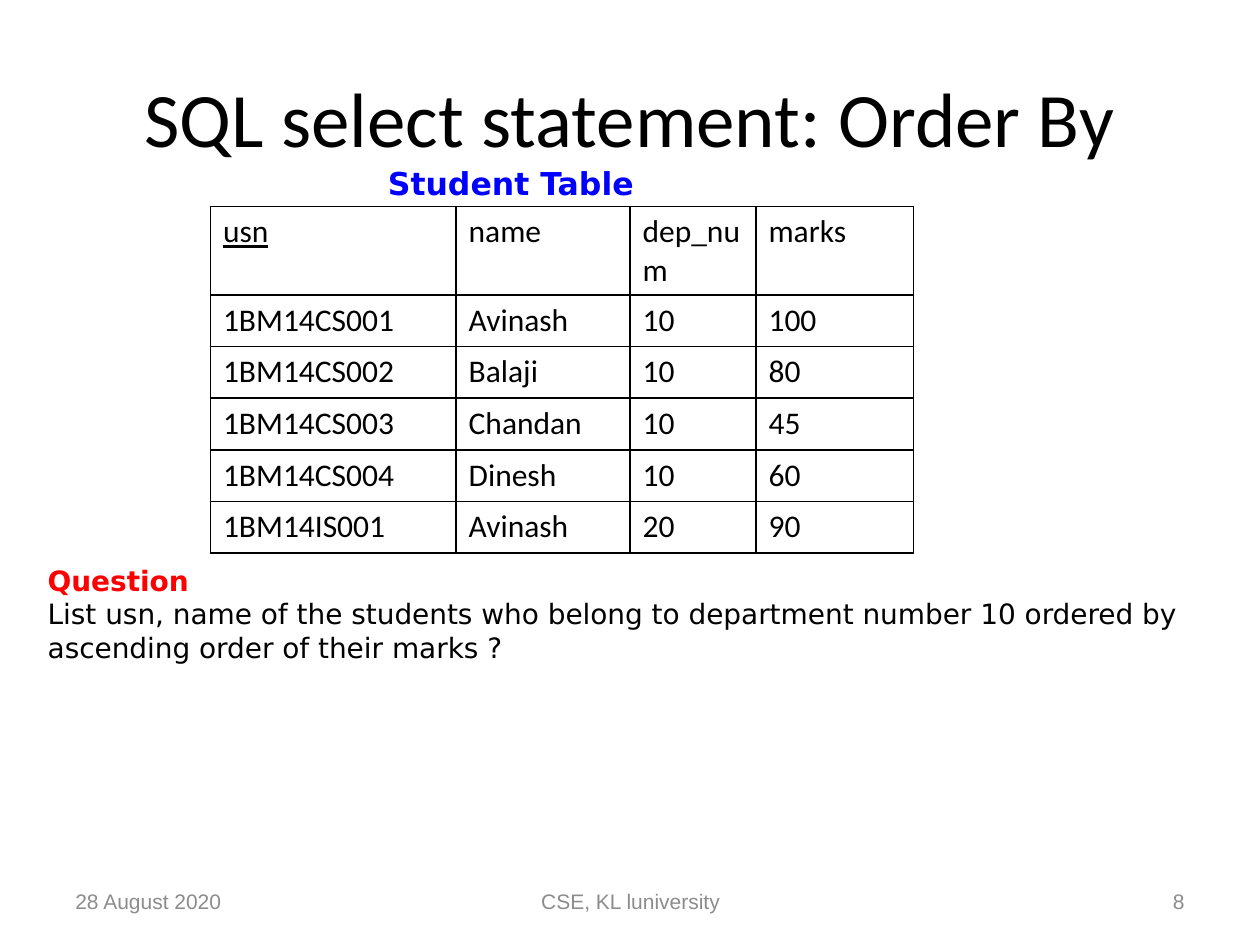
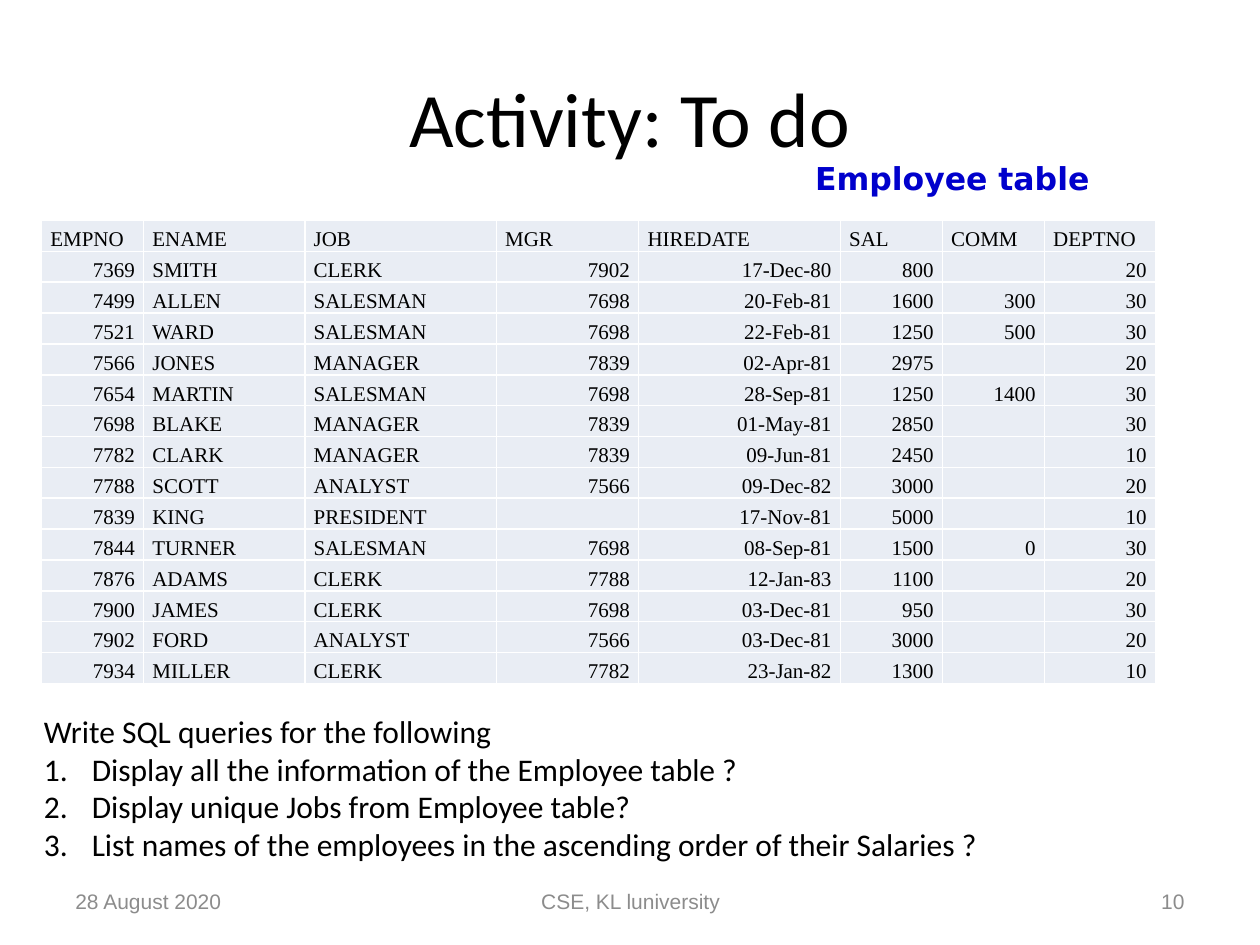
from dataclasses import dataclass
from typing import Optional

from lxml.etree import SubElement
from pptx import Presentation
from pptx.dml.color import RGBColor
from pptx.enum.text import MSO_ANCHOR, MSO_AUTO_SIZE, PP_ALIGN
from pptx.oxml.ns import qn
from pptx.util import Inches, Pt

# Slide grid: 40 columns by 30 rows
WIDTH, HEIGHT = Inches(10), Inches(7.5)
COLUMN, ROW = WIDTH / 40, HEIGHT / 30

COLORS = {
    "text": "000000",
    "footer": "8C8C8C",
    "student": "0000FF",
    "employee": "0000CC",
    "question": "FF0000",
    "cell": "E9EDF4",
    "white": "FFFFFF",
}
BODY, CAPTION, FOOTER, DATA = "Calibri", "DejaVu Sans", "Arial", "Times New Roman"
LEFT, CENTER, RIGHT = PP_ALIGN.LEFT, PP_ALIGN.CENTER, PP_ALIGN.RIGHT


@dataclass(frozen=True)
class Area:
    """A place on the slide, in grid columns and rows."""
    left: float
    top: float
    width: float
    height: float

    def emu(self) -> tuple[int, int, int, int]:
        return (int(self.left * COLUMN), int(self.top * ROW),
                int(self.width * COLUMN), int(self.height * ROW))


@dataclass(frozen=True)
class Line:
    """One paragraph of a text box."""
    text: str
    color: str = "text"
    bold: bool = False
    numbered: bool = False


@dataclass(frozen=True)
class TableStyle:
    font: str
    size: int
    border: str
    fill: Optional[str] = None
    margins: tuple[float, float] = (0.1, 0.05)
    anchor: MSO_ANCHOR = MSO_ANCHOR.TOP
    right_columns: tuple[int, ...] = ()
    underlined_key: bool = False


TITLE_AREA = Area(2, 1.2, 36, 5)
FOOTER_AREAS = (
    (Area(2, 27.8, 9.32, 1.6), LEFT),
    (Area(13.68, 27.8, 12.68, 1.6), CENTER),
    (Area(28.68, 27.8, 9.32, 1.6), RIGHT),
)

STUDENT_STYLE = TableStyle(BODY, 18, "text", underlined_key=True)
EMPLOYEE_STYLE = TableStyle(DATA, 12, "white", fill="cell", margins=(0.07, 0),
                            anchor=MSO_ANCHOR.BOTTOM,
                            right_columns=(0, 3, 4, 5, 6, 7))

STUDENTS = (
    ("usn", "name", "dep_num", "marks"),
    ("1BM14CS001", "Avinash", "10", "100"),
    ("1BM14CS002", "Balaji", "10", "80"),
    ("1BM14CS003", "Chandan", "10", "45"),
    ("1BM14CS004", "Dinesh", "10", "60"),
    ("1BM14IS001", "Avinash", "20", "90"),
)
EMPLOYEES = (
    ("EMPNO", "ENAME", "JOB", "MGR", "HIREDATE", "SAL", "COMM", "DEPTNO"),
    ("7369", "SMITH", "CLERK", "7902", "17-Dec-80", "800", "", "20"),
    ("7499", "ALLEN", "SALESMAN", "7698", "20-Feb-81", "1600", "300", "30"),
    ("7521", "WARD", "SALESMAN", "7698", "22-Feb-81", "1250", "500", "30"),
    ("7566", "JONES", "MANAGER", "7839", "02-Apr-81", "2975", "", "20"),
    ("7654", "MARTIN", "SALESMAN", "7698", "28-Sep-81", "1250", "1400", "30"),
    ("7698", "BLAKE", "MANAGER", "7839", "01-May-81", "2850", "", "30"),
    ("7782", "CLARK", "MANAGER", "7839", "09-Jun-81", "2450", "", "10"),
    ("7788", "SCOTT", "ANALYST", "7566", "09-Dec-82", "3000", "", "20"),
    ("7839", "KING", "PRESIDENT", "", "17-Nov-81", "5000", "", "10"),
    ("7844", "TURNER", "SALESMAN", "7698", "08-Sep-81", "1500", "0", "30"),
    ("7876", "ADAMS", "CLERK", "7788", "12-Jan-83", "1100", "", "20"),
    ("7900", "JAMES", "CLERK", "7698", "03-Dec-81", "950", "", "30"),
    ("7902", "FORD", "ANALYST", "7566", "03-Dec-81", "3000", "", "20"),
    ("7934", "MILLER", "CLERK", "7782", "23-Jan-82", "1300", "", "10"),
)


def write(para, text: str, *, font: str, size: int, color: str = "text",
          bold: bool = False, underline: bool = False, align=LEFT) -> None:
    """Put one formatted span in a paragraph."""
    para.alignment = align
    if not text:
        # An empty cell still needs its text size to keep the row low
        SubElement(para._p, qn("a:endParaRPr"), sz=str(size * 100))
        return
    span = para.add_run()
    span.text = text
    span.font.name, span.font.size = font, Pt(size)
    span.font.bold, span.font.underline = bold, underline
    span.font.color.rgb = RGBColor.from_string(COLORS[color])


def number(para) -> None:
    """Give a paragraph an automatic number and a hanging indent."""
    properties = para._p.get_or_add_pPr()
    indent = Inches(0.38)
    properties.set("marL", str(indent))
    properties.set("indent", str(-indent))
    SubElement(properties, qn("a:buFont"), typeface="+mj-lt")
    SubElement(properties, qn("a:buAutoNum"), type="arabicPeriod")


def add_text(slide, area: Area, *lines: Line, font: str, size: int,
             align=LEFT, fixed: bool = False) -> None:
    """Add a text box: fixed ones wrap and centre, others fit their text."""
    frame = slide.shapes.add_textbox(*area.emu()).text_frame
    frame.word_wrap = fixed
    frame.auto_size = MSO_AUTO_SIZE.NONE if fixed else MSO_AUTO_SIZE.SHAPE_TO_FIT_TEXT
    frame.vertical_anchor = MSO_ANCHOR.MIDDLE if fixed else MSO_ANCHOR.TOP
    for index, line in enumerate(lines):
        para = frame.add_paragraph() if index else frame.paragraphs[0]
        if line.numbered:
            number(para)
        write(para, line.text, font=font, size=size, color=line.color,
              bold=line.bold, align=align)


def style_cell(cell, style: TableStyle) -> None:
    """Set the borders, fill, margins and anchor of a cell."""
    properties = cell._tc.get_or_add_tcPr()
    for side in ("a:lnL", "a:lnR", "a:lnT", "a:lnB"):
        border = SubElement(properties, qn(side), w=str(Pt(1)))
        paint = SubElement(border, qn("a:solidFill"))
        SubElement(paint, qn("a:srgbClr"), val=COLORS[style.border])
    if style.fill:
        cell.fill.solid()
        cell.fill.fore_color.rgb = RGBColor.from_string(COLORS[style.fill])
    else:
        cell.fill.background()
    across, down = map(Inches, style.margins)
    cell.margin_left = cell.margin_right = across
    cell.margin_top = cell.margin_bottom = down
    cell.vertical_anchor = style.anchor


def add_data_table(slide, left: float, top: float, columns: tuple[float, ...],
                   rows: tuple[float, ...], records, style: TableStyle) -> None:
    """Add a table whose column widths and row heights are in grid units."""
    area = Area(left, top, sum(columns), sum(rows))
    table = slide.shapes.add_table(len(rows), len(columns), *area.emu()).table
    table.first_row = table.horz_banding = False
    for column, width in zip(table.columns, columns):
        column.width = int(width * COLUMN)
    for row, height in zip(table.rows, rows):
        row.height = int(height * ROW)
    for row_index, record in enumerate(records):
        for column_index, value in enumerate(record):
            cell = table.cell(row_index, column_index)
            style_cell(cell, style)
            right = row_index > 0 and column_index in style.right_columns
            write(cell.text_frame.paragraphs[0], value,
                  font=style.font, size=style.size,
                  underline=style.underlined_key and row_index == column_index == 0,
                  align=RIGHT if right else LEFT)


def add_page(deck, title: str, page_number: int):
    """Add a slide with its title and footers."""
    slide = deck.slides.add_slide(deck.slide_layouts[6])
    add_text(slide, TITLE_AREA, Line(title), font=BODY, size=44,
             align=CENTER, fixed=True)
    footers = ("28 August 2020", "CSE, KL luniversity", str(page_number))
    for text, (area, align) in zip(footers, FOOTER_AREAS):
        add_text(slide, area, Line(text, "footer"), font=FOOTER, size=12,
                 align=align, fixed=True)
    return slide


def build_order_by(deck) -> None:
    page = add_page(deck, "SQL select statement: Order By", 8)
    add_text(page, Area(11.92, 5, 8.72, 1.6),
             Line("Student Table", "student", bold=True), font=CAPTION, size=18)
    add_data_table(page, 6.68, 6.56, (7.8, 5.52, 4, 5), (2.4,) + (1.64,) * 5,
                   STUDENTS, STUDENT_STYLE)
    add_text(page, Area(1.12, 17.68, 37.68, 3.64),
             Line("Question", "question", bold=True),
             Line("List usn, name of the students who belong to department number 10 ordered by"),
             Line("ascending order of their marks ?"), font=CAPTION, size=16)


def build_activity(deck) -> None:
    page = add_page(deck, "Activity: To do", 10)
    add_data_table(page, 1.32, 7, (3.24, 5.12, 6.08, 4.52, 6.4, 3.24, 3.24, 3.52),
                   (0.98,) * len(EMPLOYEES), EMPLOYEES, EMPLOYEE_STYLE)
    add_text(page, Area(1, 22.4, 37.96, 7.68),
             Line("Write SQL queries for the following"),
             Line("Display all the information of the Employee table ?", numbered=True),
             Line("Display unique Jobs from Employee table?", numbered=True),
             Line("List names of the employees in the ascending order of their Salaries ?",
                  numbered=True), font=BODY, size=18)
    add_text(page, Area(25.48, 4.84, 9.52, 1.6),
             Line("Employee table", "employee", bold=True), font=CAPTION, size=18)


def main() -> None:
    deck = Presentation()
    deck.slide_width, deck.slide_height = WIDTH, HEIGHT
    build_order_by(deck)
    build_activity(deck)
    deck.save("out.pptx")


if __name__ == "__main__":
    main()
